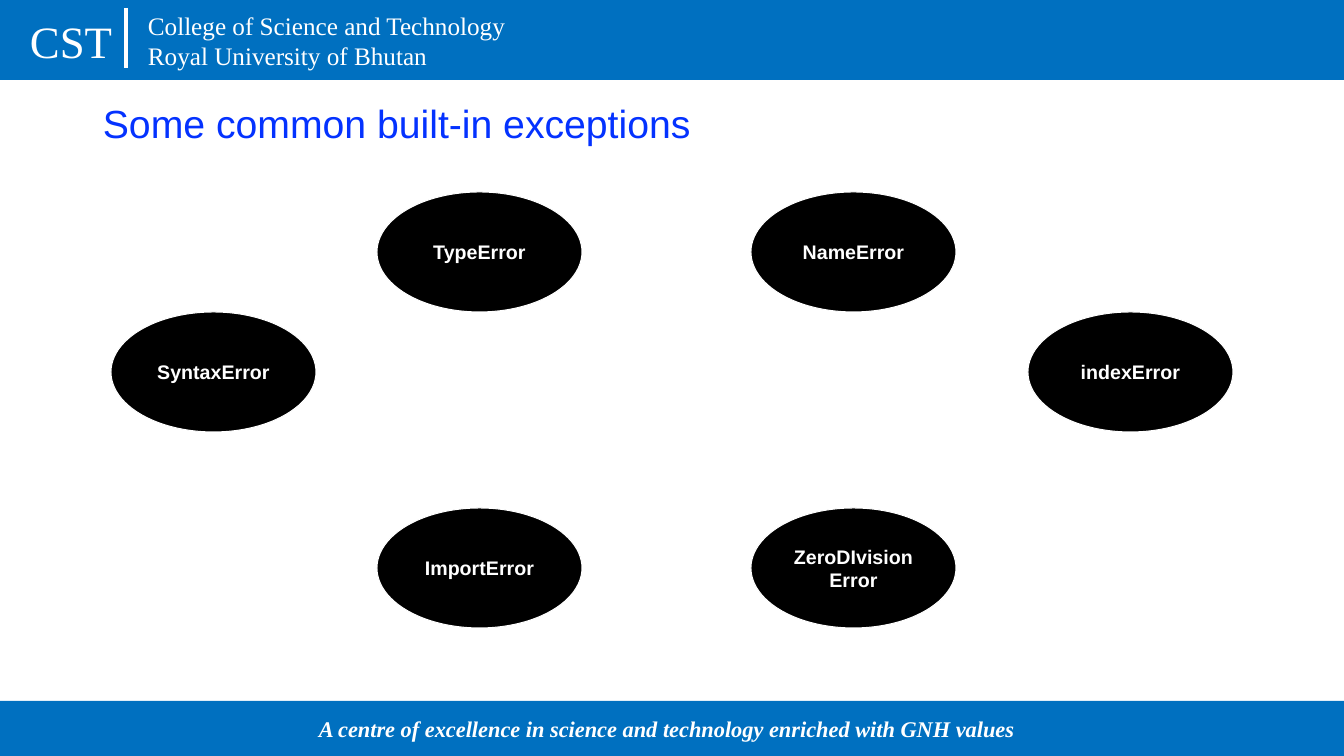
from lxml import etree
from pptx import Presentation
from pptx.dml.color import RGBColor
from pptx.enum.shapes import MSO_CONNECTOR, MSO_SHAPE
from pptx.enum.text import MSO_ANCHOR as ANCHOR, PP_ALIGN as ALIGN
from pptx.oxml.ns import qn
from pptx.util import Emu, Pt

SCALE = 914400 / 100.8
COLORS = {"band": "0070C0", "title": "0432FF", "oval": "000000", "white": "FFFFFF"}
SERIF, SANS = "Times New Roman", "Arial"
WIDTH, HEIGHT = 1344, 756


def px(*lengths):
    """Turn pixel lengths into EMU."""
    return [Emu(round(length * SCALE)) for length in lengths]


def write(shape, lines, size, font, color="white", bold=False, italic=False,
          align=ALIGN.LEFT, anchor=ANCHOR.TOP, spacing=None):
    frame = shape.text_frame
    frame.word_wrap = True
    frame.vertical_anchor = anchor
    for index, line in enumerate(lines):
        paragraph = frame.add_paragraph() if index else frame.paragraphs[0]
        paragraph.alignment = align
        paragraph.line_spacing = spacing
        run = paragraph.add_run()
        run.text = line
        run.font.name = font
        run.font.size = Pt(size)
        run.font.bold = bold
        run.font.italic = italic
        run.font.color.rgb = RGBColor.from_string(COLORS[color])


presentation = Presentation()
presentation.slide_width, presentation.slide_height = px(WIDTH, HEIGHT)
slide = presentation.slides.add_slide(presentation.slide_layouts[6])
shapes = slide.shapes

# Footer and header bands
for top, height in [(701, 55), (0, 80)]:
    band = shapes.add_shape(MSO_SHAPE.RECTANGLE, *px(0, top, WIDTH, height))
    band.shadow.inherit = False
    band.fill.solid()
    band.fill.fore_color.rgb = RGBColor.from_string(COLORS["band"])
    band.line.fill.background()

motto = shapes.add_textbox(*px(309, 710, 726, 37))
write(motto, ["A centre of excellence in science and technology enriched with GNH values"],
      16, SERIF, bold=True, italic=True)

initials = shapes.add_textbox(*px(20, 9, 104, 65))
write(initials, ["CST"], 32, SERIF)

divider = shapes.add_connector(MSO_CONNECTOR.STRAIGHT, *px(126, 8, 126, 68))
divider.line.color.rgb = RGBColor.from_string(COLORS["white"])
divider.line.width = Pt(3)
etree.SubElement(divider._element.spPr, qn("a:effectLst"))

college = shapes.add_textbox(*px(138, 5, 381, 72))
write(college, ["College of Science and Technology", "Royal University of Bhutan"], 18, SERIF)

title = shapes.add_textbox(*px(93, 86, 1251, 80))
write(title, ["Some common built-in exceptions"], 28, SANS, "title",
      anchor=ANCHOR.MIDDLE, spacing=0.9)

# Exceptions, placed around an open centre
exceptions = [
    ("SyntaxError", 111, 312),
    ("TypeError", 377, 192),
    ("ImportError", 377, 508),
    ("ZeroDIvisionError", 751, 508),
    ("indexError", 1028, 312),
    ("NameError", 751, 192),
]
for name, left, top in exceptions:
    oval = shapes.add_shape(MSO_SHAPE.OVAL, *px(left, top, 205, 120))
    oval.shadow.inherit = False
    oval.fill.solid()
    oval.fill.fore_color.rgb = RGBColor.from_string(COLORS["oval"])
    oval.line.color.rgb = RGBColor.from_string(COLORS["white"])
    oval.line.width = Pt(0.75)
    write(oval, [name], 14, SANS, bold=True, align=ALIGN.CENTER, anchor=ANCHOR.MIDDLE)

presentation.save("out.pptx")
